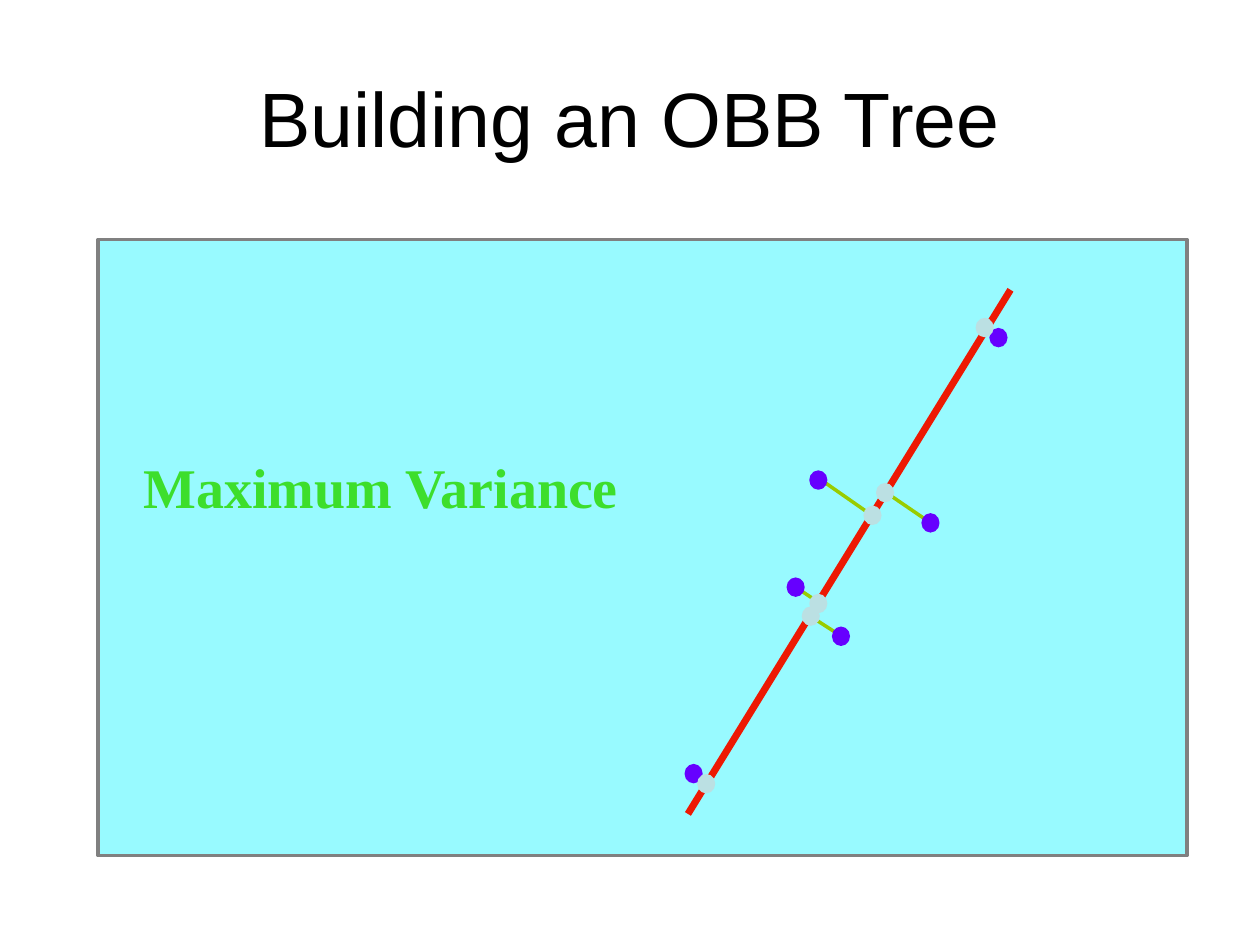
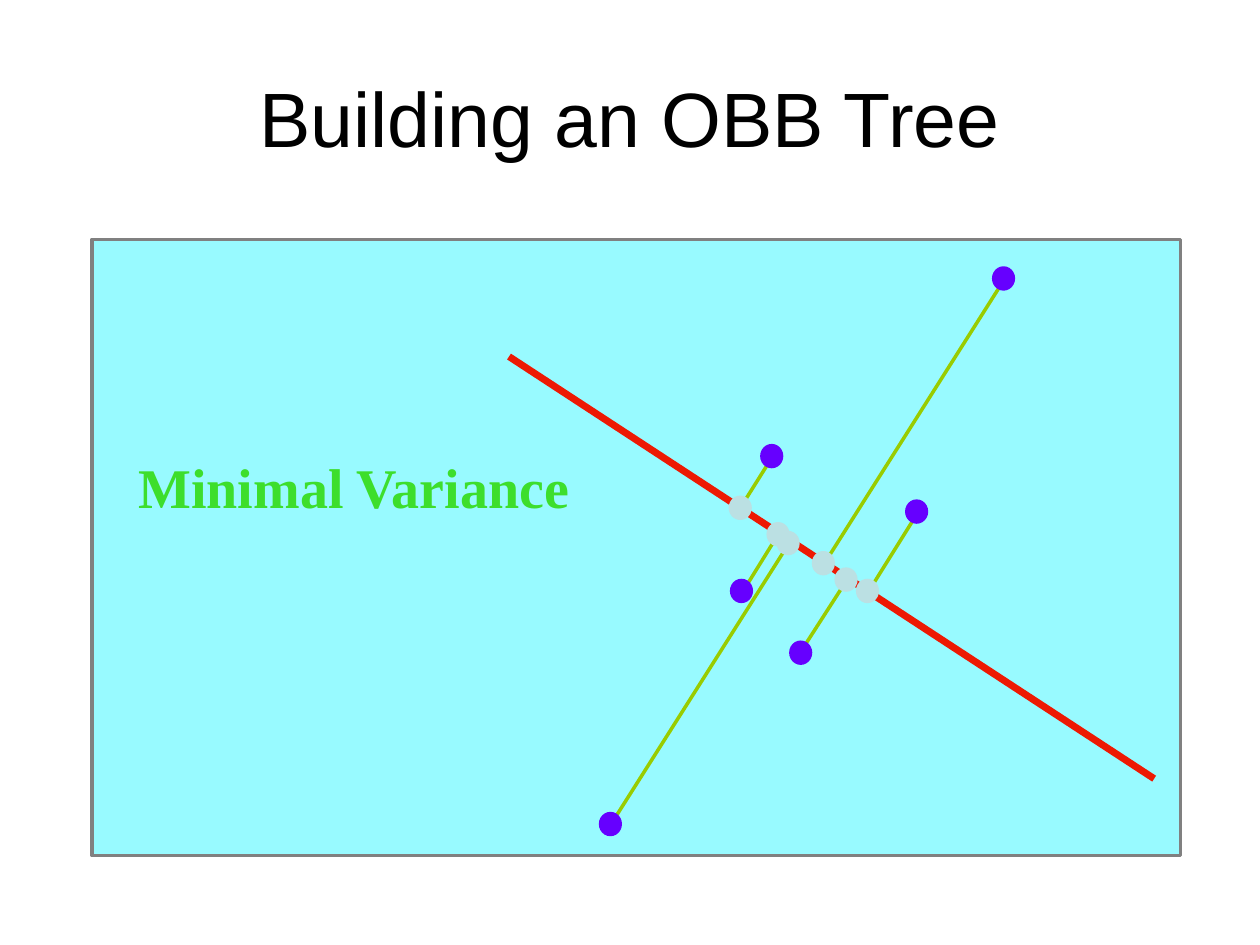
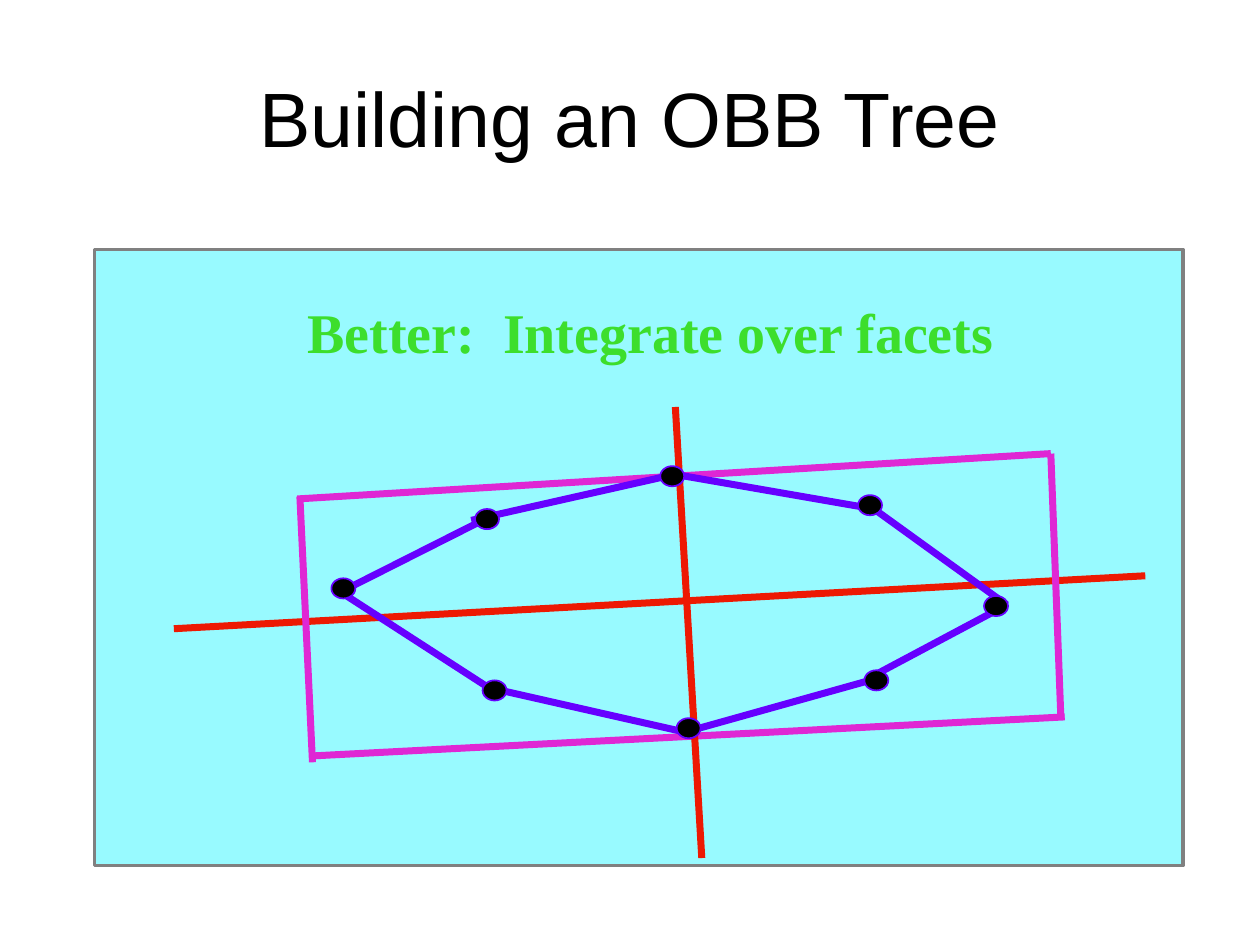
from dataclasses import dataclass

from lxml import etree
from pptx import Presentation
from pptx.dml.color import RGBColor
from pptx.enum.shapes import MSO_CONNECTOR, MSO_SHAPE
from pptx.enum.text import MSO_ANCHOR, MSO_AUTO_SIZE, PP_ALIGN
from pptx.oxml.ns import qn
from pptx.util import Emu, Pt

PX = 9144  # EMU per px, 100 px to the inch
RECTANGLE, OVAL = MSO_SHAPE.RECTANGLE, MSO_SHAPE.OVAL
STRAIGHT = MSO_CONNECTOR.STRAIGHT
CENTER, MIDDLE = PP_ALIGN.CENTER, MSO_ANCHOR.MIDDLE
GROW_TO_TEXT = MSO_AUTO_SIZE.SHAPE_TO_FIT_TEXT
TITLE_ONLY = 5


@dataclass(frozen=True)
class Theme:
    panel: str = "98FAFF"
    panel_edge: str = "808080"
    axis: str = "ED1903"
    caption: str = "3DDE2C"
    residual: str = "99CC00"
    point: str = "6600FF"
    foot: str = "BBE0E3"
    vertex: str = "000000"
    bounding_box: str = "DF27D4"
    title: str = "000000"
    title_font: str = "Arial"
    caption_font: str = "Times New Roman"
    title_size: int = 44
    caption_size: int = 32
    heavy: int = 4
    medium: int = 2
    thin: int = 1


THEME = Theme()
TITLE = "Building an OBB Tree"
TITLE_BOX = (50, 30, 900, 125)
PANEL_SIZE = (864, 489)
CAPTION_HEIGHT = 63


def px(*lengths):
    return [Emu(length * PX) for length in lengths]


def style_font(paragraph, name, size, color, bold=False):
    font = paragraph.font
    font.name, font.size, font.bold = name, Pt(size), bold
    font.color.rgb = RGBColor.from_string(color)


def style_line(line, color, width):
    line.color.rgb = RGBColor.from_string(color)
    line.width = Pt(width)


class Figure:
    """A bordered panel whose parts are placed from its top left corner."""

    def __init__(self, slide, left, top):
        self.left, self.top = left, top
        self.shapes = slide.shapes.add_group_shape().shapes
        self.add_filled(RECTANGLE, (0, 0), PANEL_SIZE,
                        THEME.panel, THEME.panel_edge, THEME.medium)

    def add_filled(self, preset, corner, size, fill, edge, edge_width):
        x, y = corner
        shape = self.shapes.add_shape(
            preset, *px(self.left + x, self.top + y, *size))
        shape.shadow.inherit = False
        shape.fill.solid()
        shape.fill.fore_color.rgb = RGBColor.from_string(fill)
        style_line(shape.line, edge, edge_width)

    def add_dots(self, corners, size, fill, edge):
        for corner in corners:
            self.add_filled(OVAL, corner, size, fill, edge, THEME.thin)

    def add_lines(self, segments, color, width):
        for x1, y1, x2, y2 in segments:
            segment = self.shapes.add_connector(STRAIGHT, *px(
                self.left + x1, self.top + y1, self.left + x2, self.top + y2))
            style_line(segment.line, color, width)
            etree.SubElement(segment._element.spPr, qn("a:effectLst"))

    def add_caption(self, text, x, y, width):
        caption = self.shapes.add_textbox(
            *px(self.left + x, self.top + y, width, CAPTION_HEIGHT))
        frame = caption.text_frame
        frame.word_wrap = False
        frame.auto_size = GROW_TO_TEXT
        frame.text = text
        style_font(frame.paragraphs[0], THEME.caption_font,
                   THEME.caption_size, THEME.caption, bold=True)


def add_titled_slide(prs):
    slide = prs.slides.add_slide(prs.slide_layouts[TITLE_ONLY])
    title = slide.shapes.title
    title.left, title.top, title.width, title.height = px(*TITLE_BOX)
    frame = title.text_frame
    frame.text = TITLE
    frame.vertical_anchor = MIDDLE
    heading = frame.paragraphs[0]
    heading.alignment = CENTER
    style_font(heading, THEME.title_font, THEME.title_size, THEME.title)
    return slide


def add_variance_slide(prs, corner, caption, axis, residuals, points, feet,
                       dot_size):
    """Points, and their feet on the axis they are projected onto."""
    figure = Figure(add_titled_slide(prs), *corner)
    figure.add_lines([axis], THEME.axis, THEME.heavy)
    figure.add_caption(*caption)
    figure.add_lines(residuals, THEME.residual, THEME.medium)
    figure.add_dots(points, dot_size, THEME.point, THEME.point)
    figure.add_dots(feet, dot_size, THEME.foot, THEME.foot)


def add_facets_slide(prs, corner, caption, long_sides, short_sides, axes,
                     facets, vertices, dot_size):
    """A convex hull inside its oriented bounding box."""
    figure = Figure(add_titled_slide(prs), *corner)
    figure.add_lines(long_sides, THEME.bounding_box, THEME.heavy)
    figure.add_lines(axes, THEME.axis, THEME.heavy)
    figure.add_caption(*caption)
    figure.add_lines(facets, THEME.point, THEME.heavy)
    figure.add_dots(vertices, dot_size, THEME.vertex, THEME.point)
    figure.add_lines(short_sides, THEME.bounding_box, THEME.heavy)


def main():
    prs = Presentation()
    prs.slide_width, prs.slide_height = px(1000, 750)

    add_variance_slide(
        prs, corner=(78, 190),
        caption=("Maximum Variance", 26, 164, 402),
        axis=(468, 456, 724, 40),
        residuals=[(662, 226, 624, 200), (614, 219, 571, 189),
                   (573, 289, 552, 275), (593, 317, 565, 299)],
        points=[(708, 71), (565, 184), (654, 218),
                (547, 269), (583, 308), (466, 417)],
        feet=[(565, 282), (559, 292), (608, 212),
              (618, 194), (697, 63), (476, 425)],
        dot_size=(13, 14))

    add_variance_slide(
        prs, corner=(73, 190),
        caption=("Minimal Variance", 27, 164, 368),
        axis=(843, 428, 331, 93),
        residuals=[(514, 214, 541, 171), (515, 282, 546, 232),
                   (412, 464, 554, 240), (582, 256, 724, 32),
                   (562, 328, 600, 269), (616, 280, 656, 216)],
        points=[(715, 22), (531, 163), (646, 207),
                (507, 270), (554, 319), (403, 455)],
        feet=[(544, 232), (572, 248), (506, 204),
              (536, 225), (590, 261), (607, 270)],
        dot_size=(17, 18))

    add_facets_slide(
        prs, corner=(75, 198),
        caption=("Better:  Integrate over facets", 159, 33, 566),
        long_sides=[(172, 402, 770, 371), (161, 198, 759, 162)],
        short_sides=[(163, 196, 173, 407), (759, 162, 767, 372)],
        axes=[(461, 125, 482, 483), (63, 301, 834, 259)],
        facets=[(201, 269, 306, 216), (314, 348, 464, 382),
                (299, 215, 454, 180), (194, 271, 310, 346),
                (469, 383, 619, 341), (452, 177, 619, 206),
                (615, 340, 724, 282), (609, 199, 724, 282)],
        vertices=[(706, 275), (611, 334), (606, 195), (449, 172),
                  (462, 372), (308, 342), (302, 206), (188, 261)],
        dot_size=(19, 16))

    prs.save("out.pptx")


if __name__ == "__main__":
    main()
